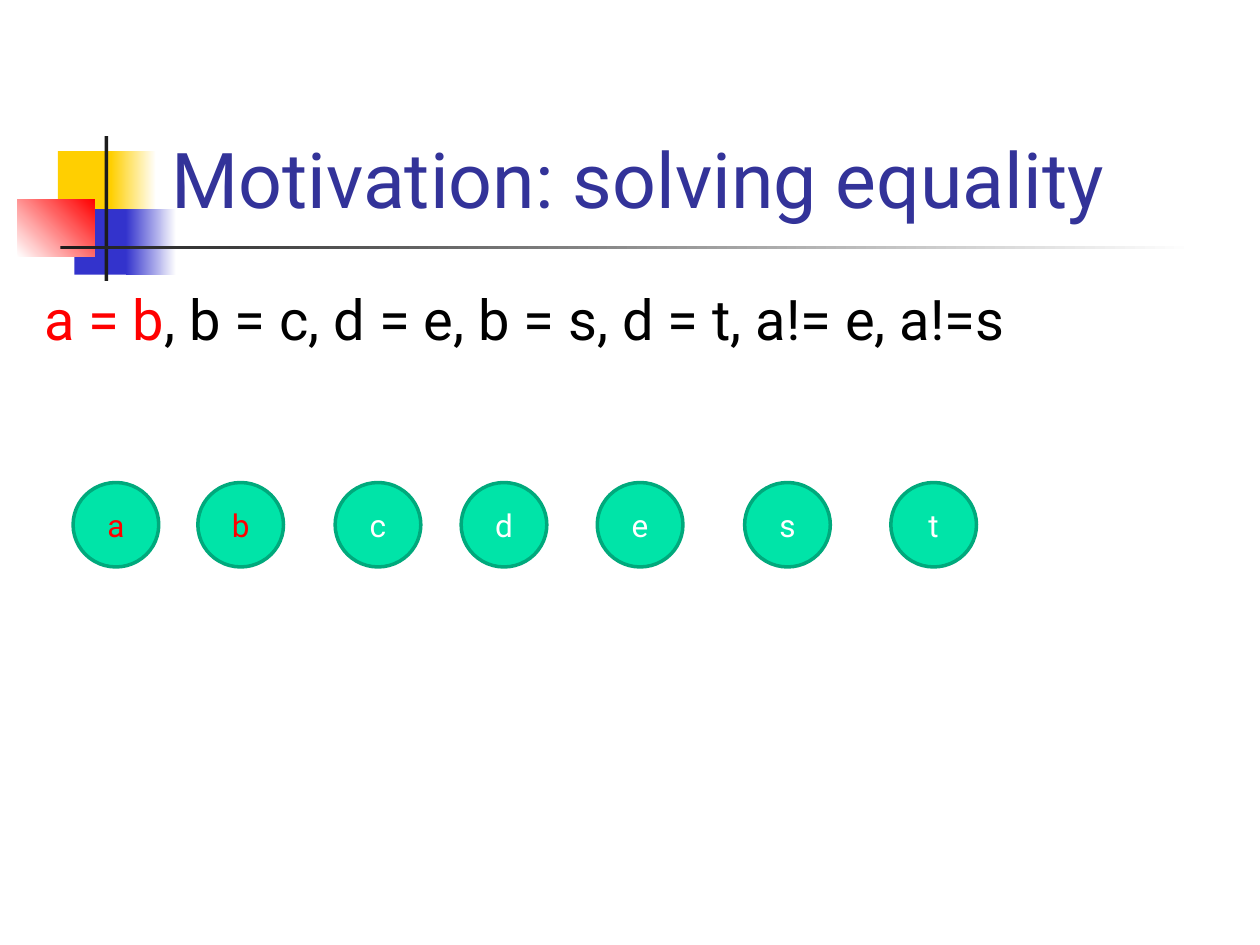
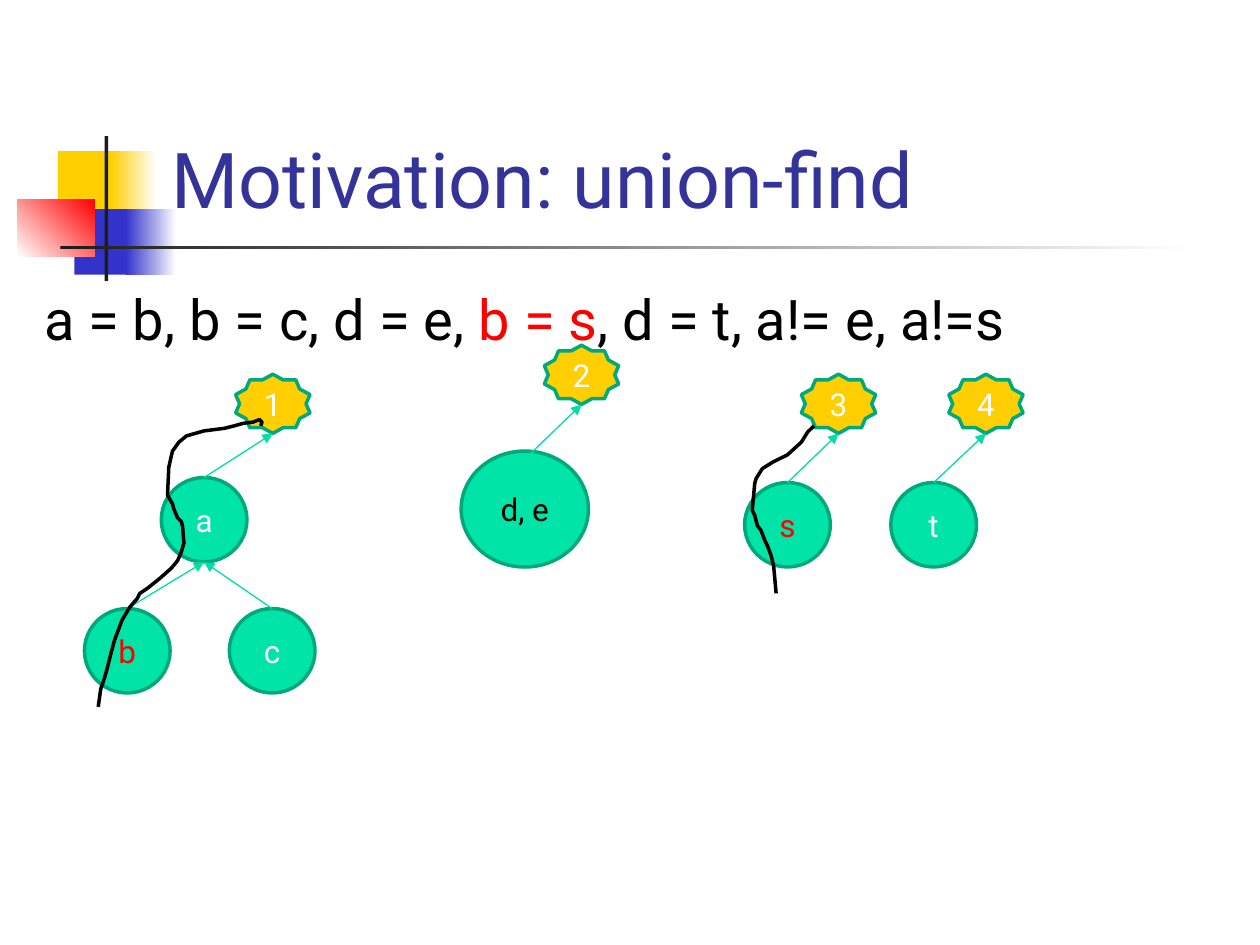
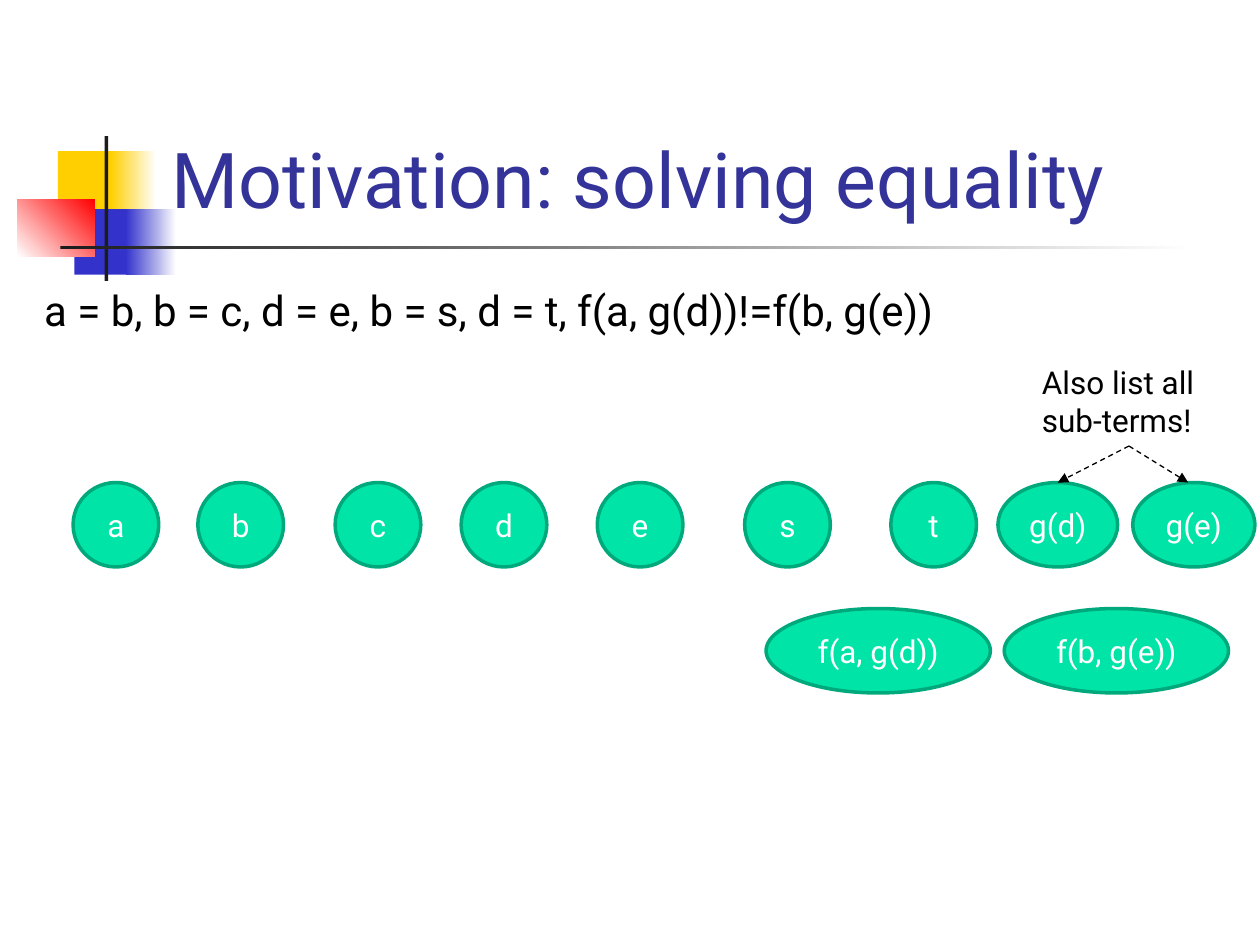
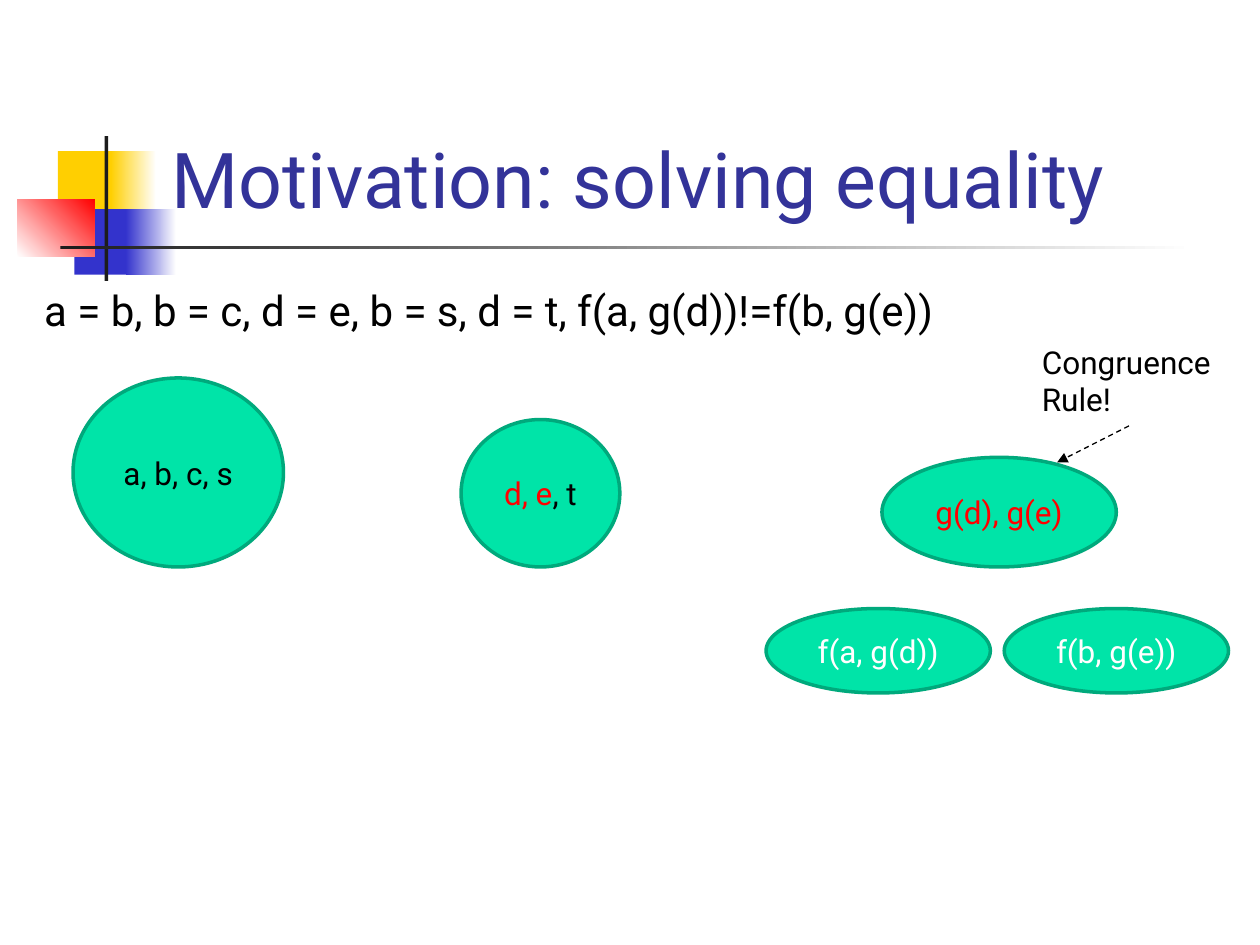
from dataclasses import dataclass
from typing import Optional, Union

from lxml import etree
from pptx import Presentation
from pptx.dml.color import RGBColor
from pptx.enum.dml import MSO_LINE
from pptx.enum.shapes import MSO_CONNECTOR, MSO_SHAPE
from pptx.enum.text import MSO_ANCHOR, MSO_AUTO_SIZE, PP_ALIGN
from pptx.oxml.ns import qn
from pptx.util import Inches, Pt

ELLIPSE = MSO_SHAPE.OVAL
STAR = MSO_SHAPE.STAR_10_POINT
RECTANGLE = MSO_SHAPE.RECTANGLE
STRAIGHT = MSO_CONNECTOR.STRAIGHT
DASH = MSO_LINE.DASH
CENTER = PP_ALIGN.CENTER
LEFT = PP_ALIGN.LEFT
MIDDLE = MSO_ANCHOR.MIDDLE
BOTTOM = MSO_ANCHOR.BOTTOM
NO_FIT = MSO_AUTO_SIZE.NONE
GROW = MSO_AUTO_SIZE.SHAPE_TO_FIT_TEXT
TOP_SITE, BOTTOM_SITE = 0, 2

Point = tuple[float, float]


@dataclass(frozen=True)
class Theme:
    font: str = "Roboto"
    title: str = "333399"
    black: str = "000000"
    white: str = "FFFFFF"
    red: str = "FF0000"
    gold: str = "FFCF01"
    blue: str = "3333CC"
    ink: str = "1C1C1C"
    node: str = "00E4A8"
    outline: str = "00A97C"
    arrow: str = "00DFA4"
    title_size: int = 44
    formula_size: int = 32
    long_formula_size: int = 24
    label_size: int = 18
    outline_width: float = 2
    arrow_width: float = 0.75


THEME = Theme()


@dataclass(frozen=True)
class Frame:
    left: float
    top: float
    width: float
    height: float

    def lengths(self) -> tuple:
        return tuple(Inches(v) for v in (self.left, self.top, self.width, self.height))


@dataclass(frozen=True)
class Span:
    text: str
    color: str = THEME.black


@dataclass(frozen=True)
class Band:
    frame: Frame
    color: str
    fade_to: Optional[str] = None
    angle: float = 0


@dataclass(frozen=True)
class Node:
    frame: Frame
    spans: tuple[Span, ...]
    preset: int = ELLIPSE
    fill: str = THEME.node

    @property
    def name(self) -> str:
        return "".join(span.text for span in self.spans)


@dataclass(frozen=True)
class Note:
    frame: Frame
    lines: tuple[str, ...]


@dataclass(frozen=True)
class Link:
    child: str
    parent: str
    start: Optional[Point] = None


@dataclass(frozen=True)
class Page:
    title: str
    formula: tuple[Span, ...]
    formula_size: int
    nodes: tuple[Node, ...]
    links: tuple[Link, ...] = ()
    strokes: tuple[tuple[Point, ...], ...] = ()
    note: Optional[Note] = None
    pointers: tuple[Union[str, Point], ...] = ()


TITLE_FRAME = Frame(1.26, 0.23, 8.52, 1.6)
BODY_FRAME = Frame(0.25, 2.21, 9.54, 4.5)
BANDS = (
    Band(Frame(0.46, 1.2, 0.48, 0.52), THEME.gold),
    Band(Frame(0.88, 1.2, 0.36, 0.52), THEME.gold, THEME.white),
    Band(Frame(0.59, 1.66, 0.46, 0.52), THEME.blue),
    Band(Frame(1, 1.66, 0.4, 0.52), THEME.blue, THEME.white),
    Band(Frame(0.14, 1.58, 0.61, 0.46), THEME.white, THEME.red, 45),
    Band(Frame(0.83, 1.08, 0.03, 1.15), THEME.ink),
    Band(Frame(0.48, 1.95, 9, 0.03), THEME.ink, THEME.white),
)


def ellipse(text: str, left: float, top: float = 3.83, width: float = 0.68,
            height: float = 0.67, color: str = THEME.white) -> Node:
    return Node(Frame(left, top, width, height), (Span(text, color),))


def star(text: str, left: float, top: float = 2.97) -> Node:
    return Node(Frame(left, top, 0.59, 0.47), (Span(text, THEME.white),), STAR, THEME.gold)


def variables(marked: str = "") -> tuple[Node, ...]:
    lefts = (0.58, 1.57, 2.66, 3.66, 4.74, 5.91, 7.07)
    return tuple(
        ellipse(name, left, color=THEME.red if name in marked else THEME.white)
        for name, left in zip("abcdest", lefts)
    )


FUNCTIONS = (
    ellipse("f(a, g(d))", 6.08, 4.83, 1.78),
    ellipse("f(b, g(e))", 7.97, 4.83, 1.78),
)
EQUALITY_TITLE = "Motivation: solving equality"
TERM_FORMULA = (Span("a = b, b = c, d = e, b = s, d = t, f(a, g(d))!=f(b, g(e))"),)

PATH_FROM_B = (
    (0.78, 5.61), (0.8, 5.47), (0.83, 5.38), (0.85, 5.31), (0.88, 5.19),
    (0.91, 5.08), (0.94, 5), (0.97, 4.92), (1, 4.87), (1.03, 4.82),
    (1.09, 4.75), (1.11, 4.71), (1.17, 4.67), (1.27, 4.59), (1.36, 4.51),
    (1.41, 4.45), (1.44, 4.38), (1.46, 4.31), (1.45, 4.18), (1.44, 4.14),
    (1.41, 4.11), (1.38, 4.04), (1.37, 4), (1.33, 3.93), (1.34, 3.71),
    (1.36, 3.62), (1.37, 3.58), (1.42, 3.51), (1.48, 3.46), (1.55, 3.44),
    (1.62, 3.42), (1.78, 3.4), (1.86, 3.38), (1.93, 3.36), (2.01, 3.35),
    (2.06, 3.33), (2.08, 3.35), (2.07, 3.38),
)
PATH_FROM_S = (
    (6.16, 4.71), (6.14, 4.49), (6.12, 4.41), (6.09, 4.33), (6.07, 4.29),
    (6.04, 4.21), (6.01, 4.17), (5.99, 4.09), (5.97, 4.05), (5.99, 3.84),
    (6, 3.8), (6.05, 3.72), (6.13, 3.67), (6.25, 3.61), (6.36, 3.51),
    (6.41, 3.43), (6.46, 3.38),
)

PAGES = (
    Page(
        EQUALITY_TITLE,
        (Span("a = b", THEME.red), Span(", b = c, d = e, b = s, d = t, a!= e, a!=s")),
        THEME.formula_size,
        variables("ab"),
    ),
    Page(
        "Motivation: union-find",
        (Span("a = b, b = c, d = e, "), Span("b = s", THEME.red),
         Span(", d = t, a!= e, a!=s")),
        THEME.formula_size,
        (
            ellipse("d, e", 3.66, 3.58, 1.01, 0.92, THEME.black),
            ellipse("s", 5.91, color=THEME.red),
            ellipse("t", 7.07),
            ellipse("a", 1.28, 3.79),
            ellipse("b", 0.67, 4.83, color=THEME.red),
            ellipse("c", 1.82, 4.83),
            star("1", 1.87),
            star("2", 4.32, 2.74),
            star("3", 6.36),
            star("4", 7.53),
        ),
        links=(Link("b", "a"), Link("c", "a"), Link("a", "1"), Link("s", "3"),
               Link("t", "4"), Link("d, e", "2", (4.2, 3.61))),
        strokes=(PATH_FROM_B, PATH_FROM_S),
    ),
    Page(
        EQUALITY_TITLE,
        TERM_FORMULA,
        THEME.long_formula_size,
        variables() + (ellipse("g(d)", 7.92, width=0.95),
                       ellipse("g(e)", 8.99, width=0.97)) + FUNCTIONS,
        note=Note(Frame(8.17, 2.83, 1.58, 0.71), ("Also list all sub-terms!",)),
        pointers=("g(d)", (9.43, 3.83)),
    ),
    Page(
        EQUALITY_TITLE,
        TERM_FORMULA,
        THEME.long_formula_size,
        (ellipse("g(d), g(e)", 7, 3.63, 1.86, 0.87, THEME.red),) + FUNCTIONS + (
            ellipse("a, b, c, s", 0.58, 3, 1.67, 1.5, THEME.black),
            Node(Frame(3.66, 3.33, 1.26, 1.17), (Span("d, e", THEME.red), Span(", t"))),
        ),
        note=Note(Frame(8.17, 2.67, 1.58, 0.71), ("Congruence", "Rule!")),
        pointers=((8.39, 3.67),),
    ),
)


def rgb(color: str) -> RGBColor:
    return RGBColor.from_string(color)


def write(para, spans: tuple[Span, ...], size: float, align=LEFT) -> None:
    para.alignment = align
    for span in spans:
        run = para.add_run()
        run.text = span.text
        run.font.name = THEME.font
        run.font.size = Pt(size)
        run.font.color.rgb = rgb(span.color)


def place(box, frame: Frame) -> None:
    box.left, box.top, box.width, box.height = frame.lengths()


def draw_band(slide, band: Band):
    box = slide.shapes.add_shape(RECTANGLE, *band.frame.lengths())
    box.shadow.inherit = False
    box.line.fill.background()
    if band.fade_to is None:
        box.fill.solid()
        box.fill.fore_color.rgb = rgb(band.color)
    else:
        box.fill.gradient()
        box.fill.gradient_angle = band.angle
        for stop, color in zip(box.fill.gradient_stops, (band.color, band.fade_to)):
            stop.color.rgb = rgb(color)
    return box


def prepare_layout(layout, slide) -> None:
    place(layout.placeholders[0], TITLE_FRAME)
    place(layout.placeholders[1], BODY_FRAME)
    tree = layout.shapes.element
    for index, band in enumerate(BANDS):
        element = draw_band(slide, band).element
        element.nvSpPr.cNvPr.set("id", str(100 + index))
        tree.insert(2 + index, element)


def fill_placeholders(slide, page: Page) -> None:
    title, body = slide.shapes.title, slide.placeholders[1]
    title.text_frame.vertical_anchor = BOTTOM
    for box in (title, body):
        box.text_frame.auto_size = NO_FIT
    write(title.text_frame.paragraphs[0], (Span(page.title, THEME.title),), THEME.title_size)
    para = body.text_frame.paragraphs[0]
    write(para, page.formula, page.formula_size)
    properties = para._p.get_or_add_pPr()
    properties.set("marL", "0")
    properties.set("indent", "0")
    etree.SubElement(properties, qn("a:buNone"))


def draw_node(slide, node: Node):
    box = slide.shapes.add_shape(node.preset, *node.frame.lengths())
    box.shadow.inherit = False
    box.fill.solid()
    box.fill.fore_color.rgb = rgb(node.fill)
    box.line.color.rgb = rgb(THEME.outline)
    box.line.width = Pt(THEME.outline_width)
    box.text_frame.word_wrap = False
    box.text_frame.vertical_anchor = MIDDLE
    write(box.text_frame.paragraphs[0], node.spans, THEME.label_size, CENTER)
    return box


def draw_note(slide, note: Note):
    box = slide.shapes.add_textbox(*note.frame.lengths())
    frame = box.text_frame
    frame.word_wrap = True
    frame.auto_size = GROW
    for index, line in enumerate(note.lines):
        para = frame.add_paragraph() if index else frame.paragraphs[0]
        write(para, (Span(line),), THEME.label_size)
    return box


def draw_arrow(slide, start: tuple, end: tuple, color: str, dashed: bool = False):
    arrow = slide.shapes.add_connector(STRAIGHT, *start, *end)
    arrow.line.color.rgb = rgb(color)
    arrow.line.width = Pt(THEME.arrow_width)
    if dashed:
        arrow.line.dash_style = DASH
    properties = arrow.element.spPr
    etree.SubElement(properties.find(qn("a:ln")), qn("a:tailEnd"), type="triangle")
    etree.SubElement(properties, qn("a:effectLst"))
    return arrow


def to_lengths(point: Point) -> tuple:
    return Inches(point[0]), Inches(point[1])


def top_of(box) -> tuple:
    return box.left + box.width // 2, box.top


def bottom_of(box) -> tuple:
    return box.left + box.width // 2, box.top + box.height


def draw_link(slide, link: Link, boxes: dict) -> None:
    child, parent = boxes[link.child], boxes[link.parent]
    start = to_lengths(link.start) if link.start else top_of(child)
    arrow = draw_arrow(slide, start, bottom_of(parent), THEME.arrow)
    if link.start is None:
        arrow.begin_connect(child, TOP_SITE)


def draw_pointer(slide, note_box, target: Union[str, Point], boxes: dict) -> None:
    named = isinstance(target, str)
    end = top_of(boxes[target]) if named else to_lengths(target)
    arrow = draw_arrow(slide, bottom_of(note_box), end, THEME.black, dashed=True)
    arrow.begin_connect(note_box, BOTTOM_SITE)
    if named:
        arrow.end_connect(boxes[target], TOP_SITE)


def draw_stroke(slide, points: tuple[Point, ...]) -> None:
    first, *rest = (to_lengths(point) for point in points)
    builder = slide.shapes.build_freeform(*first)
    builder.add_line_segments(rest, close=False)
    stroke = builder.convert_to_shape()
    stroke.shadow.inherit = False
    stroke.fill.background()
    stroke.line.color.rgb = rgb(THEME.black)
    stroke.line.width = Pt(THEME.outline_width)


def draw_page(slide, page: Page) -> None:
    fill_placeholders(slide, page)
    boxes = {node.name: draw_node(slide, node) for node in page.nodes}
    for link in page.links:
        draw_link(slide, link, boxes)
    for points in page.strokes:
        draw_stroke(slide, points)
    if page.note:
        note_box = draw_note(slide, page.note)
        for target in page.pointers:
            draw_pointer(slide, note_box, target, boxes)


def main() -> None:
    deck = Presentation()
    deck.slide_width, deck.slide_height = Inches(10), Inches(7.5)
    layout = deck.slide_layouts[1]
    slides = [deck.slides.add_slide(layout) for _ in PAGES]
    prepare_layout(layout, slides[0])
    for slide, page in zip(slides, PAGES):
        draw_page(slide, page)
    deck.save("out.pptx")


if __name__ == "__main__":
    main()
